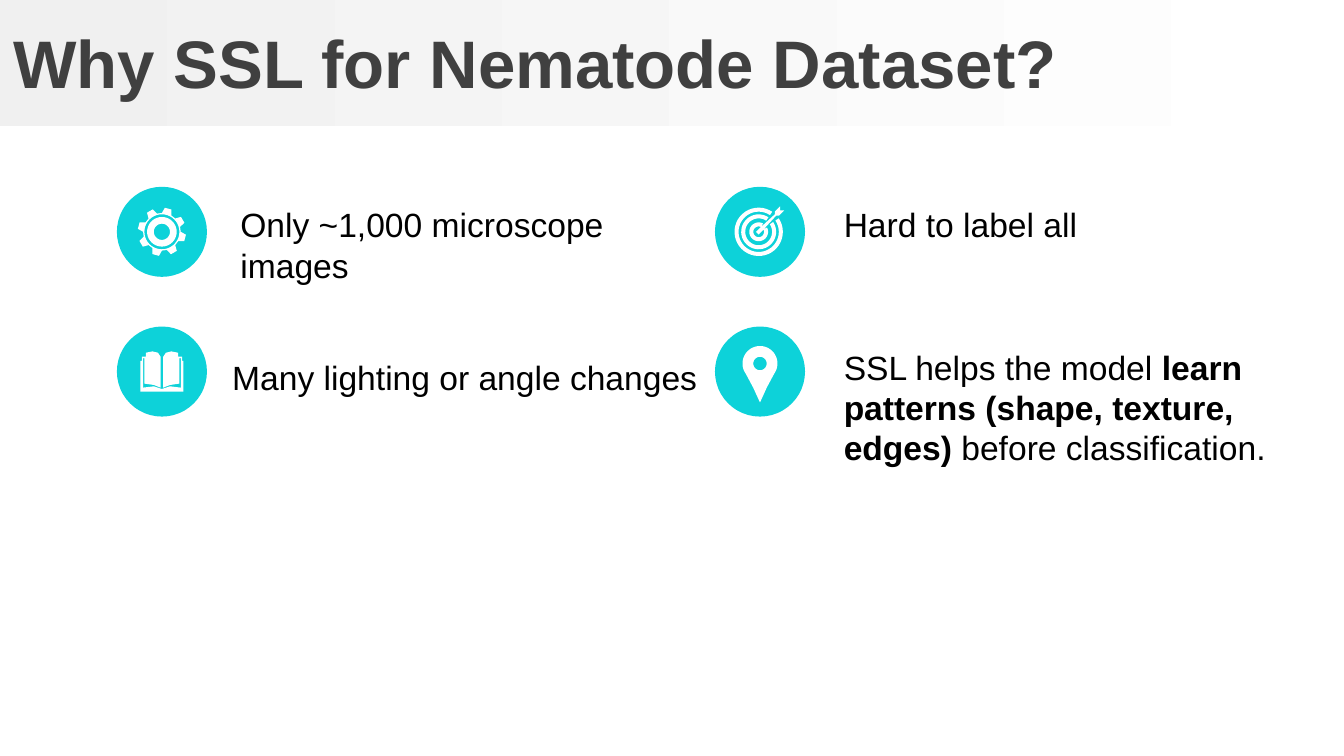
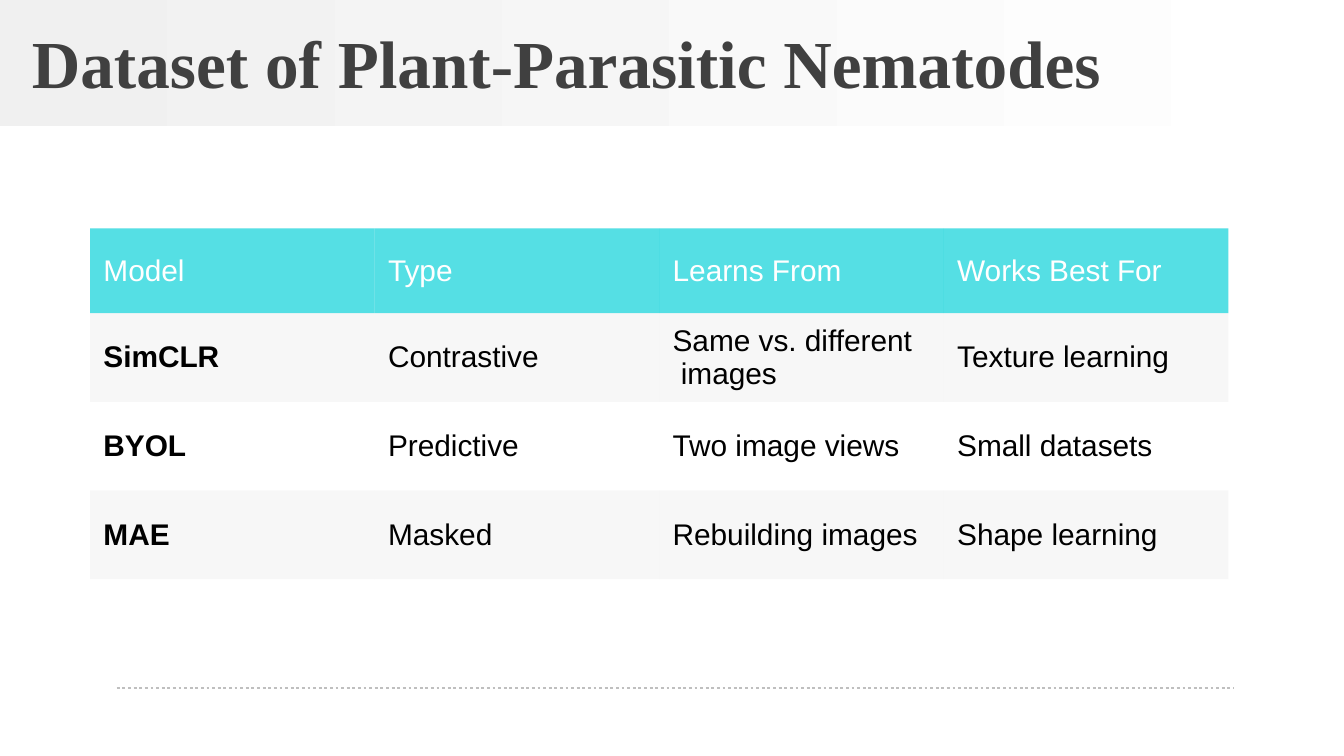
from dataclasses import dataclass
from math import cos, radians, sin

from lxml import etree
from pptx import Presentation
from pptx.dml.color import RGBColor
from pptx.enum.dml import MSO_LINE
from pptx.enum.shapes import MSO_CONNECTOR, MSO_SHAPE
from pptx.enum.text import MSO_ANCHOR
from pptx.oxml.ns import qn
from pptx.util import Inches, Pt

RECT = MSO_SHAPE.RECTANGLE
OVAL = MSO_SHAPE.OVAL
LINE = MSO_CONNECTOR.STRAIGHT
DOTS = MSO_LINE.ROUND_DOT
MIDDLE = MSO_ANCHOR.MIDDLE
TOP = MSO_ANCHOR.TOP
PLAIN = "{2D5ABB26-0587-4C30-8999-92F81FD0307C}"


@dataclass(frozen=True)
class Theme:
    teal: str = "0DD2D9"
    ink: str = "404040"
    black: str = "000000"
    white: str = "FFFFFF"
    mist: str = "F0F0F0"
    stripe: str = "D9D9D9"
    rule: str = "BFBFBF"
    sans: str = "Arial"
    serif: str = "Times New Roman"
    title: int = 36
    body: int = 18
    cell: int = 16


THEME = Theme()
WIDE = 10
HIGH = WIDE * 9 / 16
BAND = (0, 0, 9.96, 0.94)
HEAD = (0, 0.03, 10, 0.85)
DISC = 0.67


def rgb(code):
    return RGBColor.from_string(code)


def add_run(para, text, size, color, font=THEME.sans, bold=False):
    run = para.add_run()
    run.text = text
    run.font.size = Pt(size)
    run.font.name = font
    run.font.bold = bold
    run.font.color.rgb = rgb(color)


def add_text(slide, box, runs, anchor=TOP):
    frame = slide.shapes.add_textbox(*map(Inches, box)).text_frame
    frame.word_wrap = True
    frame.vertical_anchor = anchor
    for run in runs:
        add_run(frame.paragraphs[0], *run)


def add_plain(slide, kind, box):
    shape = slide.shapes.add_shape(kind, *map(Inches, box))
    shape.shadow.inherit = False
    shape.line.fill.background()
    return shape


def add_head(slide, box, runs):
    fill = add_plain(slide, RECT, BAND).fill
    fill.gradient()
    fill.gradient_angle = 0
    for stop, color in zip(fill.gradient_stops, (THEME.mist, THEME.white)):
        stop.color.rgb = rgb(color)
    add_text(slide, box, runs, MIDDLE)


def polar(x, y, size, turn):
    return x + size * sin(radians(turn)), y - size * cos(radians(turn))


def arc(x, y, size, start=0, end=360):
    steps = 40
    return [polar(x, y, size, start + (end - start) * i / steps)
            for i in range(steps + 1)]


def gear(x, y):
    tooth = ((-15, 0.14), (-8, 0.18), (8, 0.18), (15, 0.14))
    rim = [polar(x, y, size, 15 + 45 * k + turn)
           for k in range(8) for turn, size in tooth]
    return [rim] + [arc(x, y, size) for size in (0.13, 0.11, 0.06)]


def book(x, y):
    half = ((0.01, 0.04), (0.03, 0.01), (0.07, 0), (0.12, 0.01), (0.12, 0.04),
            (0.15, 0.04), (0.15, 0.07), (0.16, 0.07), (0.16, 0.3), (0, 0.3),
            (0, 0.28), (0.06, 0.26), (0.14, 0.27), (0.14, 0.05), (0.13, 0.05),
            (0.13, 0.24), (0.06, 0.25), (0.01, 0.27))
    return [[(x + side * dx, y - 0.15 + dy) for dx, dy in half]
            for side in (-1, 1)]


def target(x, y):
    x -= 0.01
    rings = ((0.18, 0.15, 11), (0.13, 0.1, 11), (0.07, 0.04, 18))
    dart = ((0.16, -0.19), (0.16, -0.16), (0.19, -0.16), (0.15, -0.12),
            (0.13, -0.12), (0.02, 0), (0, 0.02), (-0.02, 0), (0, -0.02),
            (0.12, -0.13), (0.12, -0.15))
    bands = [arc(x, y, far, 45 + gap, 405 - gap)
             + arc(x, y, near, 405 - gap, 45 + gap)
             for far, near, gap in rings]
    return bands + [[(x + dx, y + dy) for dx, dy in dart]]


def pin(x, y):
    y -= 0.06
    drop = arc(x, y, 0.13, -125, 125)
    drop += [(x + 0.05, y + 0.18), (x, y + 0.29), (x - 0.05, y + 0.18)]
    return [drop, arc(x, y, 0.05)]


def add_icon(slide, box, draw):
    left, top, width, height = box
    disc = add_plain(slide, OVAL, box)
    disc.fill.solid()
    disc.fill.fore_color.rgb = rgb(THEME.teal)
    loops = [[(Inches(x), Inches(y)) for x, y in loop]
             for loop in draw(left + width / 2, top + height / 2)]
    pen = slide.shapes.build_freeform(*loops[0][0])
    for loop in loops:
        if loop is not loops[0]:
            pen.move_to(*loop[0])
        pen.add_line_segments(loop[1:], close=True)
    sign = pen.convert_to_shape()
    sign.shadow.inherit = False
    sign.line.fill.background()
    sign.fill.solid()
    sign.fill.fore_color.rgb = rgb(THEME.white)


def add_grid(slide, box, rows, heights):
    left, top, width, height = box
    count = len(rows[0])
    frame = slide.shapes.add_table(len(rows), count, *map(Inches, box))
    table = frame.table
    table.first_row = table.horz_banding = False
    for style in frame.element.iter(qn("a:tableStyleId")):
        style.text = PLAIN
    for col in table.columns:
        col.width = Inches(width / count)
    for i, (row, tall) in enumerate(zip(rows, heights)):
        table.rows[i].height = Inches(tall)
        for j, text in enumerate(row):
            cell = table.cell(i, j)
            cell.vertical_anchor = MIDDLE
            if i == 0 or i % 2:
                cell.fill.solid()
                cell.fill.fore_color.rgb = rgb(THEME.stripe if i else THEME.teal)
            else:
                cell.fill.background()
            for k, part in enumerate(text.split("\n")):
                body = cell.text_frame
                para = body.add_paragraph() if k else body.paragraphs[0]
                add_run(para, part, THEME.cell,
                        THEME.black if i else THEME.white,
                        bold=i > 0 and j == 0)
    shades = {THEME.teal: "70000", THEME.stripe: "20000"}
    for props in frame.element.iter(qn("a:tcPr")):
        for tint in props.iter(qn("a:srgbClr")):
            etree.SubElement(tint, qn("a:alpha")).set("val", shades[tint.get("val")])


def add_rule(slide, box):
    left, top, width, height = box
    ends = (left, top, left + width, top + height)
    line = slide.shapes.add_connector(LINE, *map(Inches, ends))
    line.line.color.rgb = rgb(THEME.rule)
    line.line.width = Pt(1.5)
    line.line.dash_style = DOTS
    etree.SubElement(line.element.spPr, qn("a:effectLst"))


def build_why(slide, box):
    left, top, width, height = box
    add_head(slide, HEAD, [("Why SSL for Nematode Dataset?", THEME.title, THEME.ink,
                            THEME.sans, True)])
    notes = (
        (gear, (0.82, 0.08, 2.99, 1.01), ["Only ~1,000 microscope images"]),
        (target, (0.86, 0.08, 1.97, 0.71), ["Hard to label all"]),
        (book, (0.76, 0.18, 3.7, 0.4), ["Many lighting or angle changes"]),
        (pin, (0.86, 0.1, 3.7, 1.31),
         ["SSL helps the model ", "learn patterns (shape, texture, edges)",
          " before classification."]),
    )
    for i, (draw, (dx, dy, wide, high), parts) in enumerate(notes):
        x = left + i % 2 * (width - DISC)
        y = top + i // 2 * (height - DISC)
        add_icon(slide, (x, y, DISC, DISC), draw)
        runs = [(part, THEME.body, THEME.black, THEME.sans, k == 1)
                for k, part in enumerate(parts)]
        add_text(slide, (x + dx, y + dy, wide, high), runs)


def build_data(slide, box):
    add_head(slide, HEAD, [
        (" ", THEME.title, THEME.teal, THEME.sans, True),
        ("Dataset of Plant-Parasitic Nematodes", THEME.title, THEME.ink,
         THEME.serif, True)])
    rows = (
        ("Model", "Type", "Learns From", "Works Best For"),
        ("SimCLR", "Contrastive", "Same vs. different\n images", "Texture learning"),
        ("BYOL", "Predictive", "Two image views", "Small datasets"),
        ("MAE", "Masked", "Rebuilding images", "Shape learning"),
    )
    add_grid(slide, box, rows, (0.63, 0.66, 0.66, 0.66))
    left, top, width, height = box
    add_rule(slide, (left + 0.2, top + 3.42, 8.31, 0))


def main():
    deck = Presentation()
    deck.slide_width, deck.slide_height = Inches(WIDE), Inches(HIGH)
    blank = deck.slide_layouts[6]
    build_why(deck.slides.add_slide(blank), (0.87, 1.39, 5.12, 1.71))
    build_data(deck.slides.add_slide(blank), (0.67, 1.7, 8.47, 2.6))
    deck.save("out.pptx")


if __name__ == "__main__":
    main()
